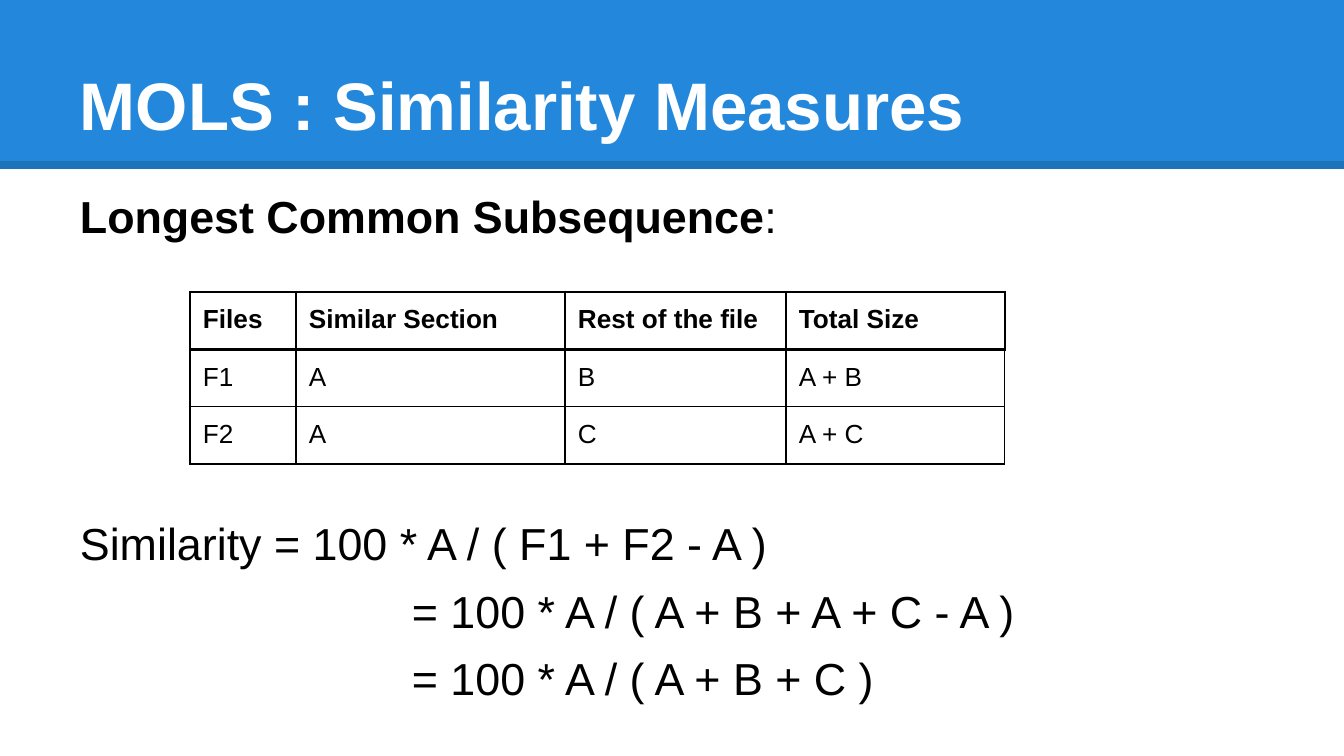
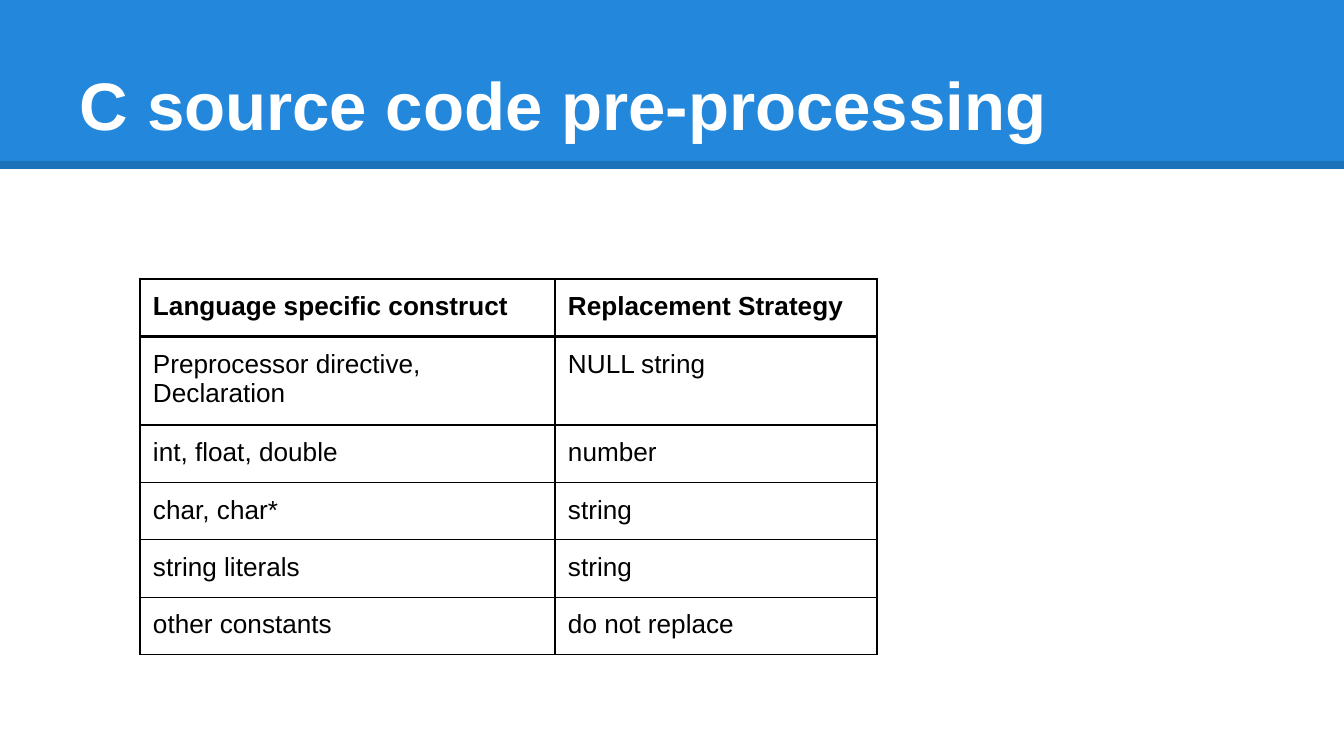
from pptx import Presentation
from pptx.dml.color import RGBColor
from pptx.enum.shapes import MSO_CONNECTOR, MSO_SHAPE
from pptx.enum.text import MSO_ANCHOR
from pptx.oxml.ns import qn
from pptx.util import Pt
from lxml import etree

RECT = MSO_SHAPE.RECTANGLE
STRAIGHT = MSO_CONNECTOR.STRAIGHT
TOP, BOTTOM = MSO_ANCHOR.TOP, MSO_ANCHOR.BOTTOM

BLUE = RGBColor(0x23, 0x88, 0xDB)
WHITE = RGBColor(0xFF, 0xFF, 0xFF)
BLACK = RGBColor(0, 0, 0)
FONT = "Arial"

WIDTH, HEIGHT = 1344, 756
INSET = 13
ROW = 56
BAND = (0, 0, WIDTH, 169)
TITLE = (67, 31, 1210, 126)
BODY = (67, 176, 1210, 547)
THIN, THICK = 0.75, 1.5


def px(n):
    """Pixels to EMU, at 134.4 pixels to the inch."""
    return round(n * 914400 / 134.4)


def set_font(p, size, color, bold=False):
    f = p.font
    f.name, f.size, f.bold = FONT, Pt(size), bold
    f.color.rgb = color


def add_text_frame(s, box, anchor):
    tf = s.shapes.add_textbox(*map(px, box)).text_frame
    tf.word_wrap = True
    tf.vertical_anchor = anchor
    tf.margin_left = tf.margin_right = tf.margin_top = tf.margin_bottom = px(INSET)
    return tf


def add_header(s, box, title):
    """Blue band, translucent rule along its foot, and the title."""
    x, y, w, h = box
    band = s.shapes.add_shape(RECT, *map(px, box))
    band.shadow.inherit = False
    band.fill.solid()
    band.fill.fore_color.rgb = BLUE
    band.line.fill.background()

    rule_y = y + h - 4
    rule = s.shapes.add_connector(STRAIGHT, *map(px, (x, rule_y, x + w, rule_y)))
    rule.line.width = Pt(4.5)
    rule.line.color.rgb = BLACK
    sp_pr = rule._element.spPr
    color = sp_pr.find(".//" + qn("a:srgbClr"))
    etree.SubElement(color, qn("a:alpha"), val="15000")
    etree.SubElement(sp_pr, qn("a:effectLst"))

    p = add_text_frame(s, TITLE, BOTTOM).paragraphs[0]
    p.text = title
    set_font(p, 36, WHITE, bold=True)


def add_border(cell, side, width):
    ln = etree.SubElement(cell._tc.get_or_add_tcPr(), qn("a:ln" + side),
                          w=str(Pt(width)))
    fill = etree.SubElement(ln, qn("a:solidFill"))
    etree.SubElement(fill, qn("a:srgbClr"), val=str(BLACK))


def add_grid(s, x, y, widths, rows):
    """Ruled table with a bold first row in a heavier frame."""
    table = s.shapes.add_table(len(rows), len(widths), px(x), px(y),
                               px(sum(widths)), px(ROW * len(rows))).table
    table.first_row = table.horz_banding = False
    for col, w in zip(table.columns, widths):
        col.width = px(w)
    last = len(widths) - 1
    for i, row in enumerate(rows):
        table.rows[i].height = px(ROW)
        head = i == 0
        for j, text in enumerate(row):
            cell = table.cell(i, j)
            cell.margin_left = cell.margin_right = px(INSET)
            cell.margin_top = cell.margin_bottom = px(INSET)
            p = cell.text_frame.paragraphs[0]
            p.text = text
            set_font(p, 14, BLACK, bold=head)
            heavy = {"L": head and j == 0, "R": head and j == last,
                     "T": i <= 1, "B": head}
            for side, thick in heavy.items():
                add_border(cell, side, THICK if thick else THIN)
            cell.fill.background()


def add_derivation(s, box, heading, steps):
    """Heading, room for the table, then the formula with its steps indented."""
    tf = add_text_frame(s, box, TOP)
    p = tf.paragraphs[0]
    set_font(p, 24, BLACK)
    p.space_before = Pt(6)
    r = p.add_run()
    r.text = heading
    r.font.bold = True
    p.add_run().text = ":"
    for i, step in enumerate(steps):
        p = tf.add_paragraph()
        p.text = step
        set_font(p, 24, BLACK)
        p.space_before = Pt(7.2 if i else 146.5)
        if i:
            p._p.get_or_add_pPr().set("marL", str(px(332)))


def add_slide(prs, title):
    s = prs.slides.add_slide(prs.slide_layouts[6])
    add_header(s, BAND, title)
    return s


def similarity_slide(prs):
    s = add_slide(prs, "MOLS : Similarity Measures")
    add_derivation(s, BODY, "Longest Common Subsequence", [
        "Similarity = 100 * A / ( F1 + F2 - A )",
        "= 100 * A / ( A + B + A + C - A )",
        "= 100 * A / ( A + B + C )",
    ])
    add_grid(s, 190, 292, [106, 269, 221, 219], [
        ["Files", "Similar Section", "Rest of the file", "Total Size"],
        ["F1", "A", "B", "A + B"],
        ["F2", "A", "C", "A + C"],
    ])


def preprocessing_slide(prs):
    s = add_slide(prs, "C source code pre-processing")
    add_grid(s, 140, 279, [415, 322], [
        ["Language specific construct", "Replacement Strategy"],
        ["Preprocessor directive, Declaration", "NULL string"],
        ["int, float, double", "number"],
        ["char, char*", "string"],
        ["string literals", "string"],
        ["other constants", "do not replace"],
    ])


prs = Presentation()
prs.slide_width, prs.slide_height = px(WIDTH), px(HEIGHT)
similarity_slide(prs)
preprocessing_slide(prs)
prs.save("out.pptx")
